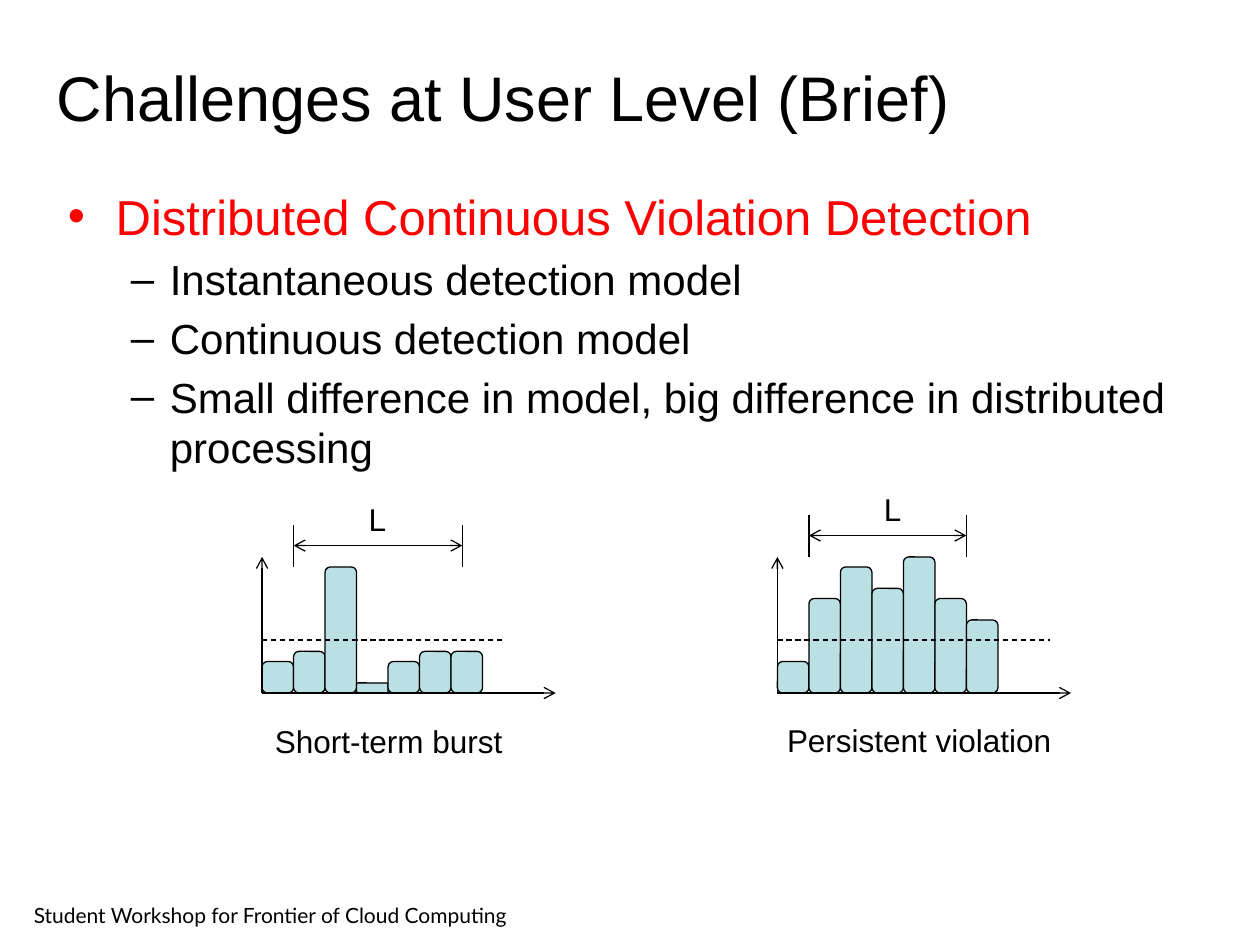
from lxml import etree
from pptx import Presentation
from pptx.dml.color import RGBColor
from pptx.enum.dml import MSO_LINE
from pptx.enum.shapes import MSO_CONNECTOR, MSO_SHAPE
from pptx.enum.text import MSO_ANCHOR, PP_ALIGN
from pptx.oxml.ns import qn
from pptx.util import Inches, Pt

COLORS = {"text": "000000", "accent": "FF0000", "bar": "BBE0E3", "line": "000000"}

deck = Presentation()
deck.slide_width, deck.slide_height = Inches(10), Inches(7.5)
page = deck.slides.add_slide(deck.slide_layouts[5])


def add_text(text, left, top, width, height, size, font="Arial", align=PP_ALIGN.CENTER):
    box = page.shapes.add_textbox(Inches(left), Inches(top), Inches(width), Inches(height))
    box.text_frame.word_wrap = True
    para = box.text_frame.paragraphs[0]
    para.text, para.alignment = text, align
    para.font.size, para.font.name = Pt(size), font
    para.font.color.rgb = RGBColor.from_string(COLORS["text"])
    return box


def add_line(x1, y1, x2, y2, arrows=(), dashed=False):
    line = page.shapes.add_connector(
        MSO_CONNECTOR.STRAIGHT, Inches(x1), Inches(y1), Inches(x2), Inches(y2))
    line.line.width = Pt(0.75)
    line.line.color.rgb = RGBColor.from_string(COLORS["line"])
    if dashed:
        line.line.dash_style = MSO_LINE.DASH
    properties = line._element.spPr
    for end in arrows:
        etree.SubElement(properties.find(qn("a:ln")), qn(f"a:{end}"), type="arrow")
    etree.SubElement(properties, qn("a:effectLst"))


# Title
title = page.shapes.title
title.left, title.top = Inches(0.35), Inches(0.35)
title.width, title.height = Inches(9), Inches(0.83)
title.text_frame.text = "Challenges at User Level (Brief)"
title.text_frame.vertical_anchor = MSO_ANCHOR.MIDDLE
para = title.text_frame.paragraphs[0]
para.alignment = PP_ALIGN.LEFT
para.font.size, para.font.name = Pt(36), "Arial"
para.font.color.rgb = RGBColor.from_string(COLORS["text"])

# Bulleted list: text, level
points = [
    ("Distributed Continuous Violation Detection", 0),
    ("Instantaneous detection model", 1),
    ("Continuous detection model", 1),
    ("Small difference in model, big difference in distributed processing", 1),
]
# Per level: bullet, text indent, hanging indent, size, color
levels = [("•", 0.38, 0.38, 28, "accent"), ("–", 0.81, 0.31, 24, "text")]
body = page.shapes.add_textbox(Inches(0.44), Inches(1.43), Inches(9.13), Inches(5.07))
frame = body.text_frame
frame.word_wrap = True
for index, (text, level) in enumerate(points):
    bullet, indent, hanging, size, color = levels[level]
    para = frame.add_paragraph() if index else frame.paragraphs[0]
    para.text, para.level = text, level
    properties = para._p.get_or_add_pPr()
    properties.set("marL", str(Inches(indent)))
    properties.set("indent", str(-Inches(hanging)))
    etree.SubElement(properties, qn("a:buFont"), typeface="Arial")
    etree.SubElement(properties, qn("a:buChar"), char=bullet)
    if index:
        para.space_before = Pt(size * 0.2)
    para.font.size, para.font.name = Pt(size), "Arial"
    para.font.color.rgb = RGBColor.from_string(COLORS[color])

# Footer
footer = add_text("Student Workshop for Frontier of Cloud Computing",
                  0.17, 7.17, 4.4, 0.18, 12, "Lato", PP_ALIGN.LEFT)
footer.text_frame.vertical_anchor = MSO_ANCHOR.MIDDLE

# Two bar sketches sharing a baseline and a threshold
BAR, BASE, THRESHOLD, AXIS_TOP = 0.25, 5.5, 5.08, 4.42
# Left edge, bar heights, threshold length, window length, window top, caption box
sketches = [
    (2.08, [0.25, 0.33, 1, 0.08, 0.25, 0.33, 0.33], 1.92, 1.34, 4.17,
     ("Short-term burst", 1.67, 5.68, 2.83)),
    (6.17, [0.25, 0.75, 1, 0.83, 1.08, 0.75, 0.58], 2.16, 1.25, 4.09,
     ("Persistent violation", 5.92, 5.67, 2.75)),
]
for left, heights, threshold, window, top, caption in sketches:
    for index, height in enumerate(heights):
        bar = page.shapes.add_shape(
            MSO_SHAPE.ROUNDED_RECTANGLE, Inches(left + index * BAR),
            Inches(BASE - height), Inches(BAR), Inches(height))
        bar.adjustments[0] = 0.17
        bar.shadow.inherit = False
        bar.fill.solid()
        bar.fill.fore_color.rgb = RGBColor.from_string(COLORS["bar"])
        bar.line.color.rgb = RGBColor.from_string(COLORS["line"])
        bar.line.width = Pt(0.75)

    # Threshold and axes
    add_line(left, THRESHOLD, left + threshold, THRESHOLD, dashed=True)
    add_line(left, BASE, left + 2.33, BASE, ["tailEnd"])
    add_line(left, BASE, left, AXIS_TOP, ["tailEnd"])
    add_text(*caption, 0.4, 18)

    # Time window L, starting at the second bar
    start = left + BAR
    end = start + window
    for x in (start, end):
        add_line(x, top, x, top + 0.33)
    add_line(start, top + 0.16, end, top + 0.16, ["headEnd", "tailEnd"])
    add_text("L", start + BAR, top - 0.25, 0.83, 0.42, 18)

deck.save("out.pptx")
